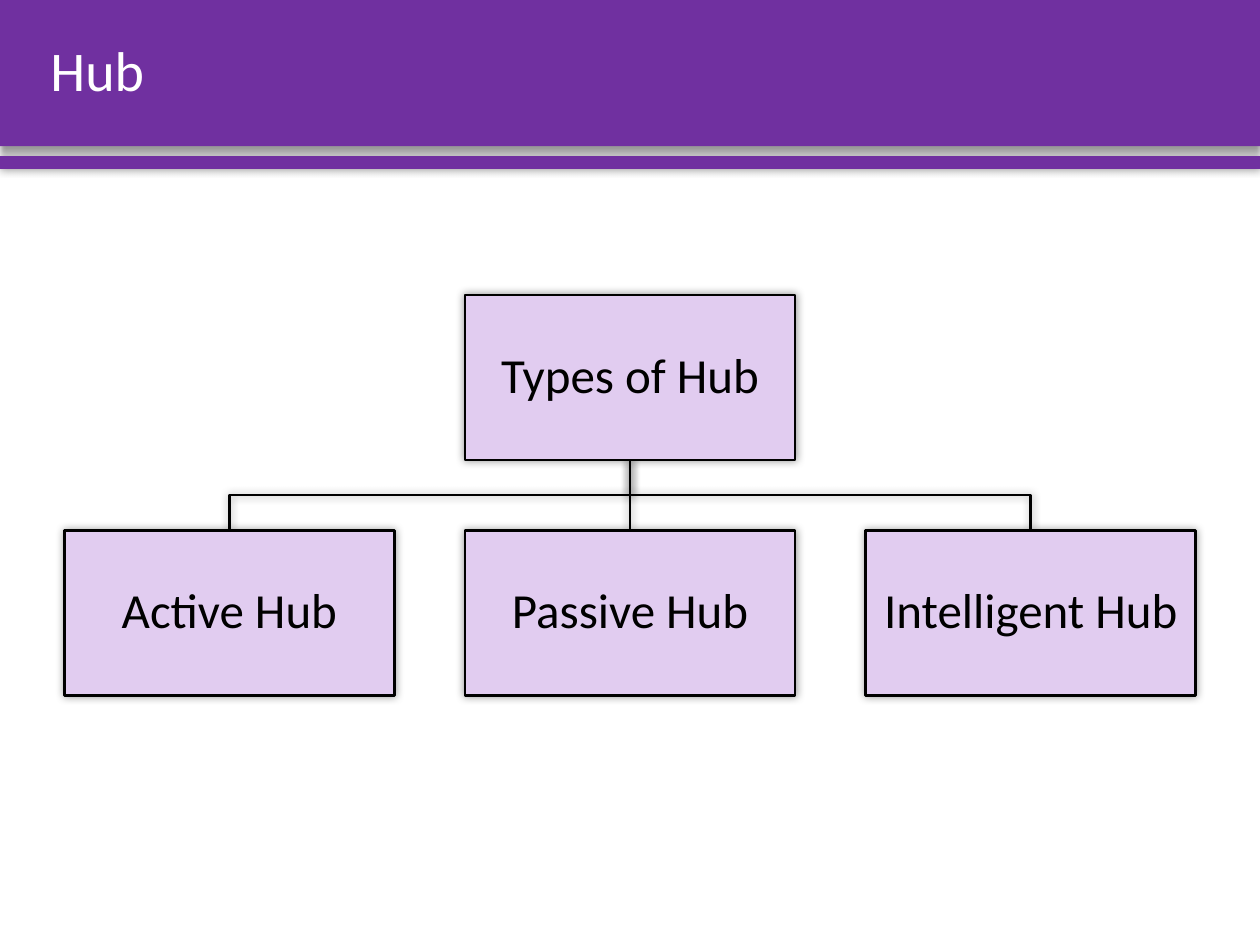
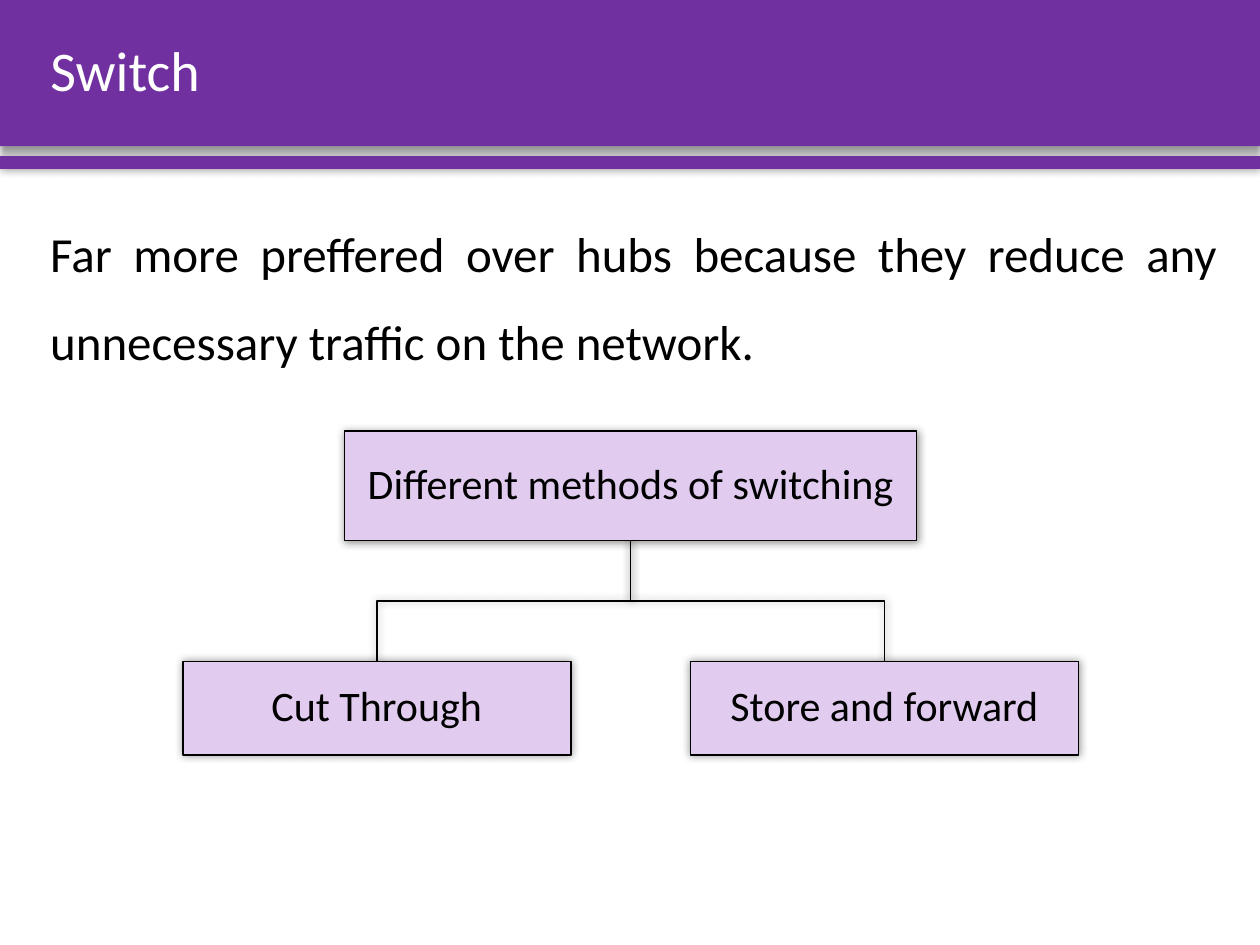
from collections import namedtuple
from lxml.etree import SubElement
from pptx import Presentation
from pptx.dml.color import RGBColor
from pptx.enum.shapes import MSO_CONNECTOR, MSO_SHAPE
from pptx.enum.text import MSO_ANCHOR, PP_ALIGN
from pptx.oxml.ns import qn
from pptx.util import Inches, Pt

PURPLE = RGBColor(0x70, 0x30, 0xA0)
LILAC = RGBColor(0xE1, 0xCC, 0xF0)
BLACK = RGBColor(0, 0, 0)
WHITE = RGBColor(0xFF, 0xFF, 0xFF)
FONT = "Calibri"
CELL = Inches(0.1)
COLS, ROWS = 100, 75

Box = namedtuple("Box", "left top width height")
Size = namedtuple("Size", "width height")

TITLE = Box(3, 0, 94.6, 11.6)
BANDS = [(Box(0, 0, COLS, 11.6), 4, 3), (Box(0, 12.4, COLS, 1), 5, 0)]


def grid(*cells):
    return [round(cell * CELL) for cell in cells]


def cast(part, blur=5, drop=0):
    effects = SubElement(part.element.spPr, qn("a:effectLst"))
    shade = SubElement(effects, qn("a:outerShdw"), blurRad=str(Pt(blur)),
                       dist=str(Pt(drop)), dir="5400000", rotWithShape="0")
    color = SubElement(shade, qn("a:srgbClr"), val=str(BLACK))
    SubElement(color, qn("a:alpha"), val="40000")


def write(frame, text, size, color, align, spacing=0.9):
    frame.word_wrap = True
    frame.text = text
    line = frame.paragraphs[0]
    line.alignment = align
    line.line_spacing = spacing
    font = line.runs[0].font
    font.name, font.size, font.color.rgb = FONT, Pt(size), color


def block(slide, box, fill):
    shape = slide.shapes.add_shape(MSO_SHAPE.RECTANGLE, *grid(*box))
    shape.fill.solid()
    shape.fill.fore_color.rgb = fill
    return shape


def stroke(part, weight):
    part.line.color.rgb = BLACK
    part.line.width = Pt(weight)
    cast(part)


def dress(layout, slide):
    for holder in list(layout.placeholders)[1:]:
        holder.element.getparent().remove(holder.element)
    for place, (box, blur, drop) in enumerate(BANDS, 2):
        band = block(slide, box, PURPLE)
        band.line.fill.background()
        cast(band, blur, drop)
        layout.shapes.element.insert(place, band.element)


def head(slide, text):
    title = slide.shapes.title
    title.left, title.top, title.width, title.height = grid(*TITLE)
    title.text_frame.vertical_anchor = MSO_ANCHOR.MIDDLE
    write(title.text_frame, text, 32, WHITE, PP_ALIGN.LEFT)


def prose(slide, box, text):
    area = slide.shapes.add_textbox(*grid(*box))
    write(area.text_frame, text, 28, BLACK, PP_ALIGN.JUSTIFY, 1.5)


def node(slide, box, text, size, weight):
    shape = block(slide, box, LILAC)
    stroke(shape, weight)
    frame = shape.text_frame
    frame.margin_left = frame.margin_right = Inches(0.02)
    frame.margin_top = frame.margin_bottom = Inches(0.02)
    frame.vertical_anchor = MSO_ANCHOR.MIDDLE
    write(frame, text, size, BLACK, PP_ALIGN.CENTER)


def link(slide, start, end, weight):
    (left, top), (right, base) = start, end
    if abs(left - right) < 0.01:
        line = slide.shapes.add_connector(
            MSO_CONNECTOR.STRAIGHT, *grid(left, top, left, base))
    else:
        mid = (top + base) / 2
        turns = [(left, mid), (right, mid), end]
        pen = slide.shapes.build_freeform(*grid(*start))
        pen.add_line_segments([grid(*turn) for turn in turns], close=False)
        line = pen.convert_to_shape()
        line.fill.background()
    stroke(line, weight)


def tree(slide, box, root, leaves, root_size, leaf_size, size, weight):
    mid = box.left + box.width / 2
    step = (box.width - leaf_size.width) / (len(leaves) - 1)
    base = box.top + box.height - leaf_size.height
    spots = [Box(box.left + step * i, base, *leaf_size)
             for i in range(len(leaves))]
    for spot in spots:
        link(slide, (mid, box.top + root_size.height),
             (spot.left + spot.width / 2, base), weight)
    node(slide, Box(mid - root_size.width / 2, box.top, *root_size),
         root, size, weight)
    for spot, leaf in zip(spots, leaves):
        node(slide, spot, leaf, size, weight)


def main():
    deck = Presentation()
    deck.slide_width, deck.slide_height = grid(COLS, ROWS)
    layout = deck.slide_layouts[5]

    hub = deck.slides.add_slide(layout)
    dress(layout, hub)
    head(hub, "Hub")
    tree(hub, Box(5.1, 23.4, 89.8, 31.8), "Types of Hub",
         ["Active Hub", "Passive Hub", "Intelligent Hub"],
         Size(26.2, 13.1), Size(26.2, 13.1), 28, 1.5)

    switch = deck.slides.add_slide(layout)
    head(switch, "Switch")
    prose(switch, Box(3, 14.9, 94.6, 14.3),
          "Far more preffered over hubs because they reduce any "
          "unnecessary traffic on the network.")
    tree(switch, Box(14.5, 34.2, 71.1, 25.7), "Different methods of switching",
         ["Cut Through", "Store and forward"],
         Size(45.4, 8.7), Size(30.8, 7.4), 24, 1)

    deck.save("out.pptx")


if __name__ == "__main__":
    main()
